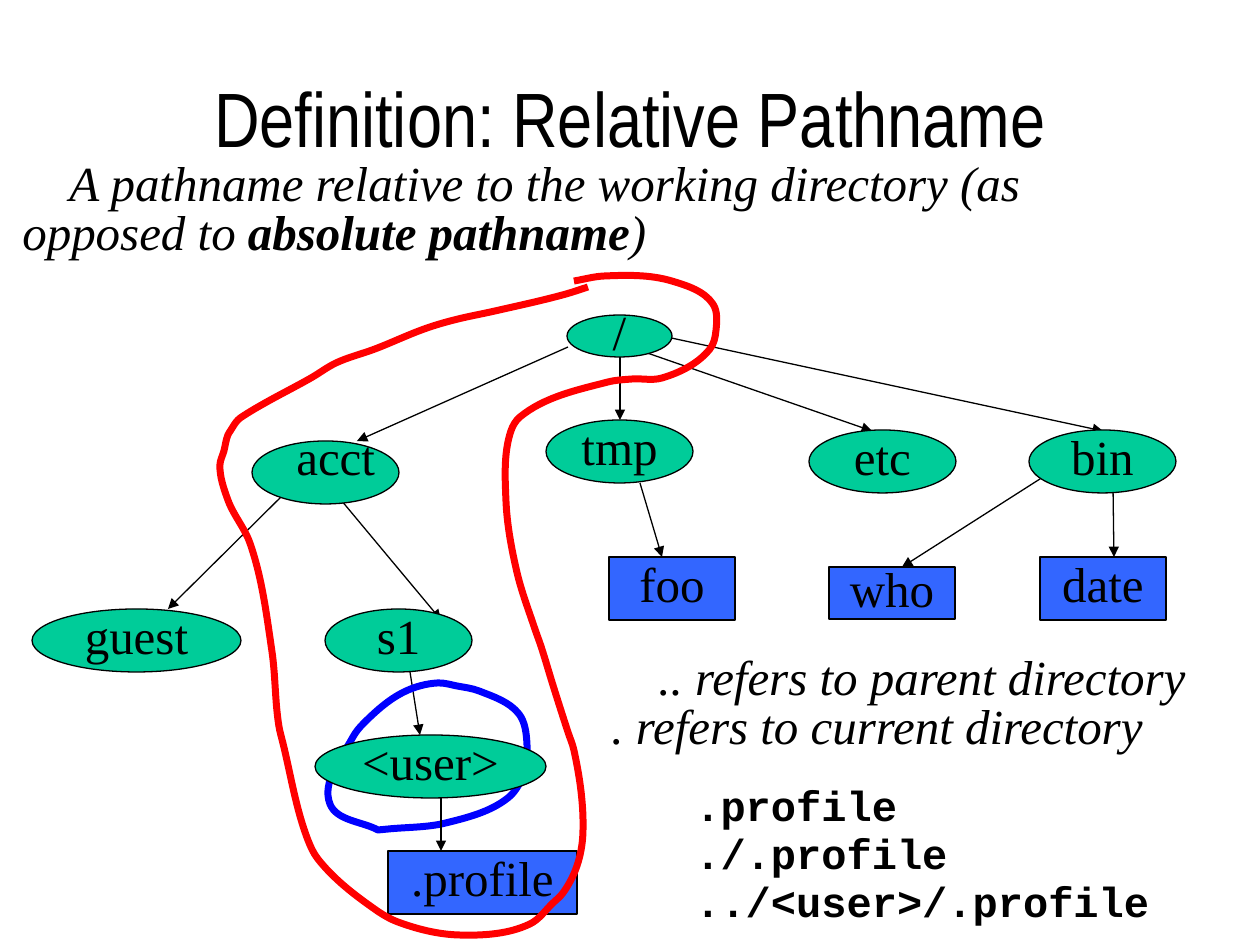
from math import hypot

from lxml import etree
from pptx import Presentation
from pptx.dml.color import RGBColor
from pptx.enum.shapes import MSO_CONNECTOR, MSO_SHAPE
from pptx.enum.text import MSO_ANCHOR, PP_ALIGN
from pptx.oxml.ns import qn
from pptx.util import Emu, Pt

PX = 914400 / 126
OVAL, BOX, STRAIGHT = MSO_SHAPE.OVAL, MSO_SHAPE.RECTANGLE, MSO_CONNECTOR.STRAIGHT
LEFT, CENTER = PP_ALIGN.LEFT, PP_ALIGN.CENTER
TOP, MIDDLE = MSO_ANCHOR.TOP, MSO_ANCHOR.MIDDLE
SERIF, MONO, NARROW = "Times New Roman", "Courier New", "Arial Narrow"
BLACK, GREEN, BLUE = "000000", "00CC99", "3366FF"

# Label, left, top, width, height, relative to the tree
DIRECTORIES = [
    ("/", 537, 0, 105, 42), ("", 222, 126, 147, 63), ("tmp", 516, 105, 147, 63),
    ("etc", 779, 115, 147, 63), ("bin", 999, 115, 147, 63),
    ("guest", 2, 294, 209, 63), ("s1", 295, 294, 147, 63),
]
USER_DIRECTORY = ("<user>", 285, 420, 231, 63)
FILES = [
    ("foo", 579, 242, 126, 63), ("who", 799, 252, 126, 52),
    ("date", 1010, 242, 126, 63), (".profile", 358, 536, 189, 63),
]
# Start x, y and end x, y, relative to the tree
ARROWS = [
    (538, 32, 327, 126), (590, 42, 590, 105), (600, 32, 842, 116),
    (632, 21, 1073, 116), (254, 179, 138, 294), (306, 179, 411, 305),
    (610, 168, 632, 242), (1021, 157, 872, 252), (1083, 168, 1084, 242),
    (380, 357, 390, 420),
]
PROFILE_ARROW = (411, 483, 411, 536)
PATH_LOOP = [
    (368, 11), (346, 18), (275, 35), (234, 44), (207, 52), (155, 73), (116, 87),
    (91, 102), (45, 127), (28, 137), (18, 144), (11, 154), (8, 159), (4, 175),
    (0, 189), (8, 224), (30, 267), (52, 375), (59, 450), (63, 467), (88, 564),
    (98, 583), (156, 634), (178, 646), (239, 659), (310, 648), (333, 627),
    (343, 617), (357, 590), (363, 557), (354, 474), (348, 456), (333, 409),
    (321, 370), (315, 353), (297, 296), (286, 224), (291, 155), (300, 141),
    (388, 106), (412, 103), (442, 102), (490, 73), (496, 55), (493, 28),
    (452, 5), (384, 0), (354, 5),
]
USER_LOOP = [
    (53, 147), (5, 121), (28, 54), (39, 40), (79, 9), (113, 0), (132, 3),
    (154, 8), (194, 31), (202, 60), (197, 95), (183, 115), (121, 140),
    (64, 146), (53, 147),
]


def px(length):
    return Emu(round(length * PX))


def color(value):
    return RGBColor.from_string(value)


def format_paragraph(paragraph, font, size, spacing, align=LEFT):
    paragraph.alignment = align
    paragraph.line_spacing = spacing
    for run in paragraph.runs:
        run.font.name = font
        run.font.size = Pt(size)
        run.font.color.rgb = color(BLACK)


def add_text(slide, box, text, font, size, spacing, align=LEFT, anchor=TOP):
    shape = slide.shapes.add_textbox(*map(px, box))
    frame = shape.text_frame
    frame.word_wrap = True
    frame.vertical_anchor = anchor
    paragraph = frame.paragraphs[0]
    paragraph.text = text
    format_paragraph(paragraph, font, size, spacing, align)
    return paragraph


def add_statement(slide, box, text):
    """Italic text with an indented first line."""
    paragraph = add_text(slide, box, text, SERIF, 28, 0.82)
    paragraph._p.get_or_add_pPr().set("indent", str(px(47)))
    for run in paragraph.runs:
        run.font.italic = True
    return paragraph


def add_node(slide, left, top, node, kind, fill):
    label, x, y, width, height = node
    shape = slide.shapes.add_shape(kind, px(left + x), px(top + y), px(width), px(height))
    shape.shadow.inherit = False
    shape.fill.solid()
    shape.fill.fore_color.rgb = color(fill)
    shape.line.color.rgb = color(BLACK)
    shape.line.width = Pt(0.75)
    if label:
        frame = shape.text_frame
        frame.word_wrap = False
        frame.vertical_anchor = MIDDLE
        frame.text = label
        format_paragraph(frame.paragraphs[0], SERIF, 28, 0.82, CENTER)


def add_arrow(slide, left, top, ends):
    x1, y1, x2, y2 = ends
    arrow = slide.shapes.add_connector(
        STRAIGHT, px(left + x1), px(top + y1), px(left + x2), px(top + y2))
    arrow.line.color.rgb = color(BLACK)
    arrow.line.width = Pt(0.75)
    etree.SubElement(arrow.line._get_or_add_ln(), qn("a:tailEnd"), type="triangle")
    etree.SubElement(arrow._element.spPr, qn("a:effectLst"))


def unit(x, y):
    length = hypot(x, y) or 1
    return x / length, y / length


def bezier_points(points):
    """Two control points and an end point for each stretch of a smooth curve."""
    steps = [(c - a, d - b) for (a, b), (c, d) in zip(points, points[1:])]
    units = [unit(*step) for step in steps]
    tangents = [unit(a + c, b + d) for (a, b), (c, d)
                in zip([units[0], *units], [*units, units[-1]])]
    curve = []
    for index, step in enumerate(steps):
        reach = hypot(*step) / 3
        (x1, y1), (x2, y2) = points[index:index + 2]
        (u1, v1), (u2, v2) = tangents[index:index + 2]
        curve += [(x1 + u1 * reach, y1 + v1 * reach),
                  (x2 - u2 * reach, y2 - v2 * reach), (x2, y2)]
    return curve


def add_loop(slide, left, top, points, line_color):
    start, *curve = [(px(left + x), px(top + y))
                     for x, y in [points[0], *bezier_points(points)]]
    builder = slide.shapes.build_freeform(*start)
    builder.add_line_segments(curve, close=False)
    shape = builder.convert_to_shape()
    # Join each three straight segments into one cubic curve
    segments = list(shape._element.iter(qn("a:lnTo")))
    for first, second, third in zip(segments[::3], segments[1::3], segments[2::3]):
        cubic = etree.Element(qn("a:cubicBezTo"))
        first.addprevious(cubic)
        for segment in (first, second, third):
            cubic.append(segment[0])
            segment.getparent().remove(segment)
    shape.shadow.inherit = False
    shape.fill.background()
    shape.line.color.rgb = color(line_color)
    shape.line.width = Pt(4)


def add_tree(slide, left, top):
    for ends in ARROWS:
        add_arrow(slide, left, top, ends)
    for node in DIRECTORIES:
        add_node(slide, left, top, node, OVAL, GREEN)
    for node in FILES:
        add_node(slide, left, top, node, BOX, BLUE)
    add_text(slide, (left + 254, top + 116, 116, 62), "acct", SERIF, 28, 0.82)
    # Hand-drawn loops around the path and the working directory
    add_loop(slide, left + 190, top - 39, PATH_LOOP, "FF0000")
    add_loop(slide, left + 295, top + 368, USER_LOOP, "0000FF")
    add_node(slide, left, top, USER_DIRECTORY, OVAL, GREEN)
    add_arrow(slide, left, top, PROFILE_ARROW)


def add_definition(slide, box):
    paragraph = add_statement(
        slide, box, "A pathname relative to the working directory (as opposed to ")
    for text, bold in (("absolute pathname", True), (")", False)):
        run = paragraph.add_run()
        run.text = text
        run.font.bold = bold
        run.font.italic = True
    format_paragraph(paragraph, SERIF, 28, 0.82)


def add_examples(slide, box):
    paragraph = add_text(
        slide, box, ".profile\v./.profile\v../<user>/.profile", MONO, 24, 0.95)
    for run in paragraph.runs:
        run.font.bold = True


def main():
    presentation = Presentation()
    presentation.slide_width, presentation.slide_height = px(1260), px(945)
    slide = presentation.slides.add_slide(presentation.slide_layouts[6])
    add_text(slide, (95, 23, 1071, 195), "Definition: Relative Pathname",
             NARROW, 44, 0.97, CENTER, MIDDLE)
    add_tree(slide, 30, 315)
    add_definition(slide, (10, 157, 1134, 110))
    add_statement(slide, (599, 651, 650, 110),
                  ".. refers to parent directory\v. refers to current directory")
    add_examples(slide, (683, 777, 494, 156))
    presentation.save("out.pptx")


if __name__ == "__main__":
    main()
